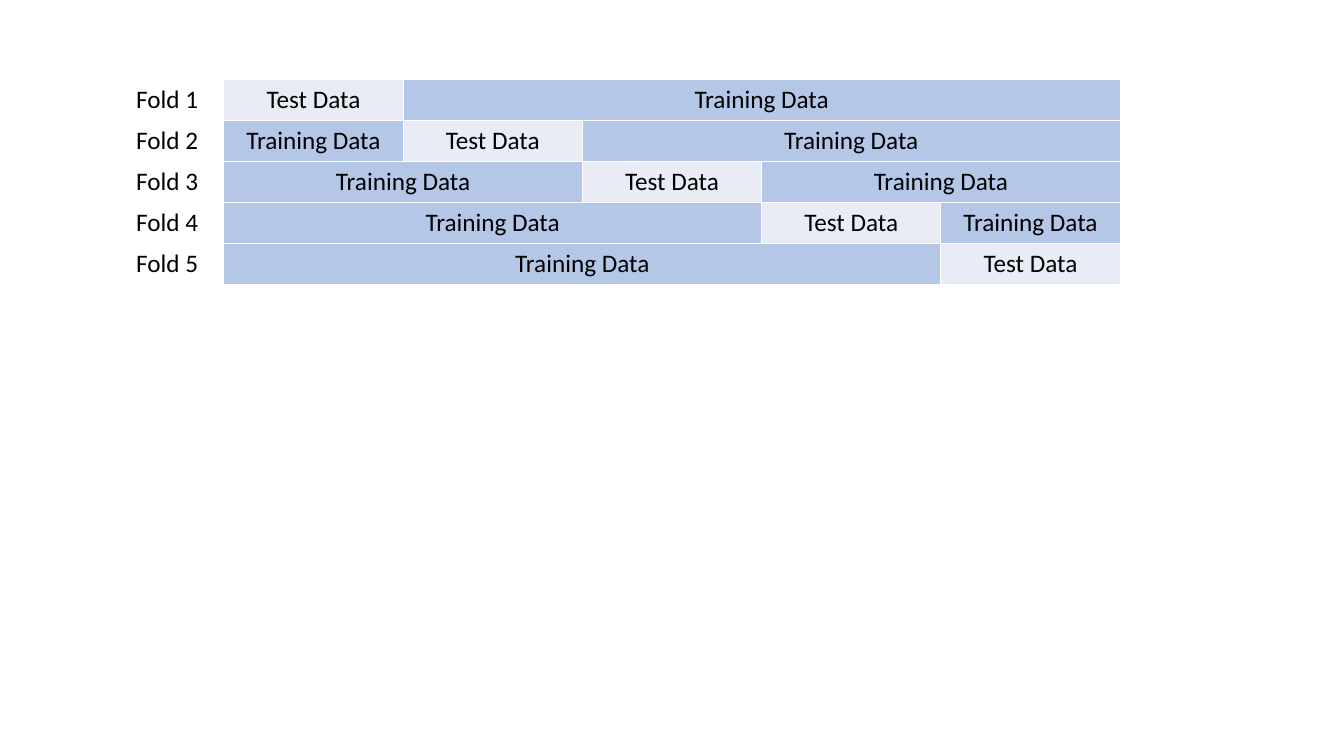
from dataclasses import dataclass

from lxml.etree import SubElement
from pptx import Presentation
from pptx.dml.color import RGBColor
from pptx.enum.text import PP_ALIGN
from pptx.oxml.ns import qn
from pptx.slide import Slide
from pptx.table import Table, _Cell
from pptx.util import Inches, Pt

COLORS = {"test": "E9EBF5", "training": "B4C7E7", "border": "FFFFFF", "text": "000000"}
PLAIN_STYLE = "{2D5ABB26-0587-4C30-8999-92F81FD0307C}"  # no style, no grid
FOLDS = 5
TOP, HEIGHT = Inches(0.79), Inches(2.03)


@dataclass
class Segment:
    kind: str
    start: int
    length: int


def fold_segments(fold: int) -> list[Segment]:
    """Test block on the diagonal, training data on either side."""
    segments = [
        Segment("training", 0, fold),
        Segment("test", fold, 1),
        Segment("training", fold + 1, FOLDS - fold - 1),
    ]
    return [segment for segment in segments if segment.length]


def add_plain_table(page: Slide, columns: int, left: int, width: int) -> Table:
    table = page.shapes.add_table(FOLDS, columns, left, TOP, width, HEIGHT).table
    table.first_row = table.horz_banding = False
    table._tbl.tblPr.find(qn("a:tableStyleId")).text = PLAIN_STYLE
    return table


def add_borders(cell: _Cell) -> None:
    properties = cell._tc.get_or_add_tcPr()
    for side in ("L", "R", "T", "B"):
        line = SubElement(properties, qn(f"a:ln{side}"), w=str(Pt(1)))
        fill = SubElement(line, qn("a:solidFill"))
        SubElement(fill, qn("a:srgbClr"), val=COLORS["border"])


def write(cell: _Cell, text: str, *, align: PP_ALIGN = PP_ALIGN.LEFT,
          size: int = 18, font: str = "Calibri", color: str = "text") -> None:
    para = cell.text_frame.paragraphs[0]
    para.alignment = align
    span = para.add_run()
    span.text = text
    span.font.size = Pt(size)
    span.font.name = font
    span.font.color.rgb = RGBColor.from_string(COLORS[color])


def draw_segment(table: Table, row: int, segment: Segment) -> None:
    last = segment.start + segment.length - 1
    cell = table.cell(row, segment.start)
    if segment.length > 1:
        cell.merge(table.cell(row, last))
    for column in range(segment.start, last + 1):
        part = table.cell(row, column)
        add_borders(part)
        part.fill.solid()
        part.fill.fore_color.rgb = RGBColor.from_string(COLORS[segment.kind])
    write(cell, f"{segment.kind.title()} Data", align=PP_ALIGN.CENTER)


deck = Presentation()
deck.slide_width, deck.slide_height = Inches(13.33), Inches(7.5)
page = deck.slides.add_slide(deck.slide_layouts[6])

# Data split of each fold
split_table = add_plain_table(page, FOLDS, Inches(2.22), Inches(8.89))
for fold in range(FOLDS):
    for segment in fold_segments(fold):
        draw_segment(split_table, fold, segment)

# Fold labels
label_table = add_plain_table(page, 1, Inches(1.25), Inches(1.18))
for fold in range(FOLDS):
    label = label_table.cell(fold, 0)
    label.fill.background()
    write(label, f"Fold {fold + 1}")

deck.save("out.pptx")
